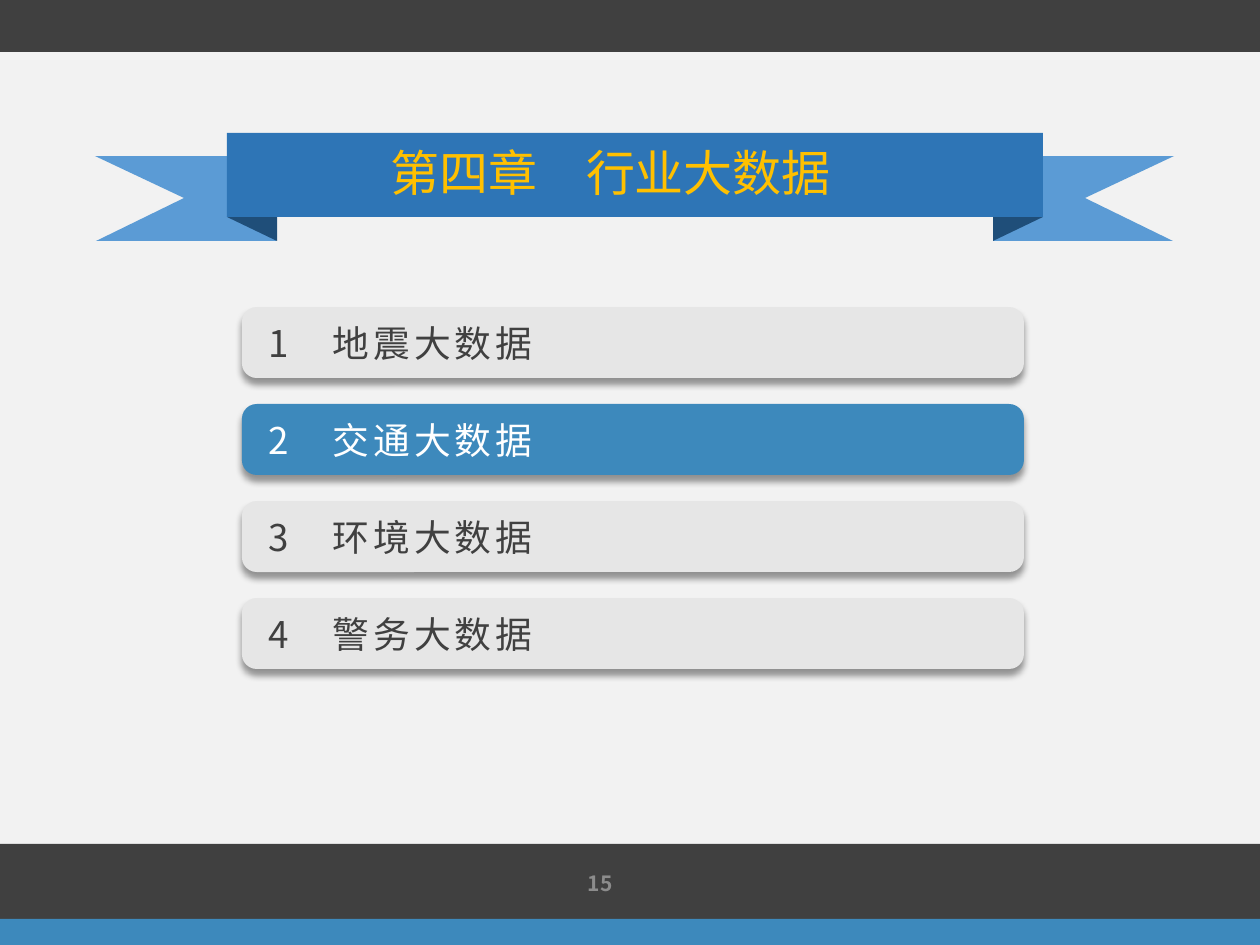
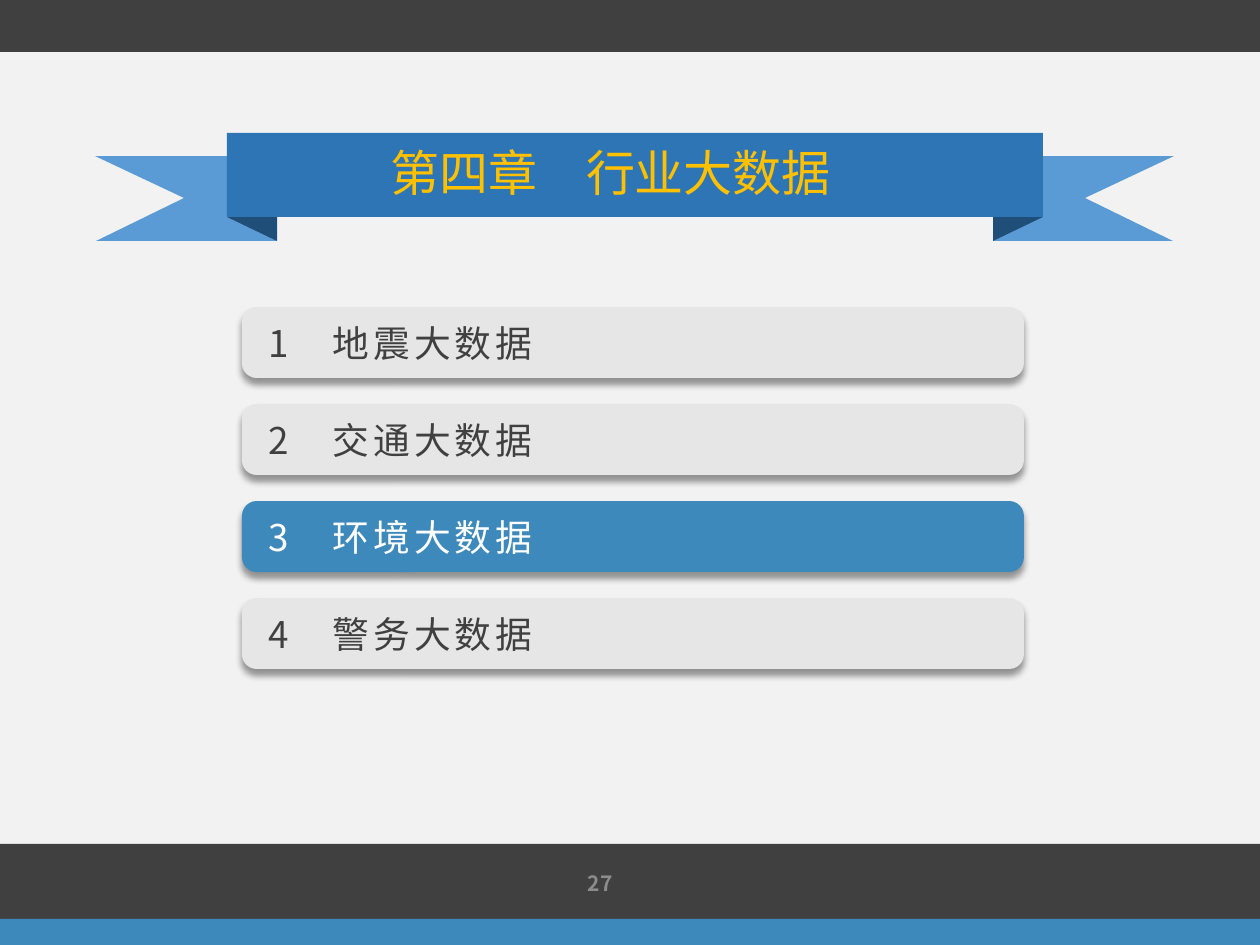
from dataclasses import dataclass

from lxml.etree import SubElement
from pptx import Presentation
from pptx.dml.color import RGBColor
from pptx.enum.shapes import MSO_SHAPE
from pptx.enum.text import MSO_ANCHOR, MSO_AUTO_SIZE, PP_ALIGN
from pptx.oxml.ns import qn
from pptx.util import Inches, Pt


@dataclass(frozen=True)
class Theme:
    font: str = "Noto Sans CJK SC"
    background: RGBColor = RGBColor(0xF2, 0xF2, 0xF2)
    dark: RGBColor = RGBColor(0x40, 0x40, 0x40)
    accent: RGBColor = RGBColor(0x3D, 0x89, 0xBC)
    bar: RGBColor = RGBColor(0xE6, 0xE6, 0xE6)
    white: RGBColor = RGBColor(0xFF, 0xFF, 0xFF)
    ribbon: RGBColor = RGBColor(0x2E, 0x75, 0xB6)
    ribbon_tail: RGBColor = RGBColor(0x5B, 0x9B, 0xD5)
    ribbon_fold: RGBColor = RGBColor(0x1F, 0x4E, 0x79)
    title: RGBColor = RGBColor(0xFF, 0xC0, 0x00)
    number: RGBColor = RGBColor(0x8C, 0x8C, 0x8C)
    title_size: int = Pt(28)
    bar_size: int = Pt(21)
    number_size: int = Pt(12)


THEME = Theme()
WIDTH, HEIGHT = 1260, 945
SCALE = Inches(10) / WIDTH

CHAPTER = "第四章　行业大数据"
SECTIONS = ["地震大数据", "交通大数据", "环境大数据", "警务大数据"]
SLIDES = [{"current": 2, "number": "15"}, {"current": 3, "number": "27"}]

BANDS = [
    ((-1, -1, 1262, 53), THEME.dark),
    ((0, 844, WIDTH, 76), THEME.dark),
    ((0, 919, WIDTH, 26), THEME.accent),
]
RIBBON = (227, 133, 816, 84)
RIBBON_MIRROR = 1269
TAIL_POINTS = [(95, 156), (276, 156), (276, 241), (96, 241), (184, 198)]
FOLDS = [((227, 217, 50, 24), 180), ((1006, 204, 24, 50), 90)]
TITLE_BOX = (375, 136, 471, 72)
NUMBER_BOX = (331, 858, 294, 50)
BAR_LEFT, BAR_TOP, BAR_WIDTH, BAR_HEIGHT, BAR_PITCH = 242, 307, 782, 71, 97
BAR_INSET = 22


def add_filled(slide, kind, box, colour):
    shape = slide.shapes.add_shape(kind, *[round(length * SCALE) for length in box])
    shape.shadow.inherit = False
    shape.fill.solid()
    shape.fill.fore_color.rgb = colour
    shape.line.fill.background()
    return shape


def write_text(shape, text, alignment, colour, frame_format, font_format):
    frame = shape.text_frame
    for name, value in frame_format.items():
        setattr(frame, name, value)
    paragraph = frame.paragraphs[0]
    paragraph.alignment = alignment
    run = paragraph.add_run()
    run.text = text
    run.font.name = THEME.font
    run.font.color.rgb = colour
    for name, value in font_format.items():
        setattr(run.font, name, value)
    properties = shape.element.find(".//" + qn("a:rPr"))
    SubElement(properties, qn("a:ea"), typeface=THEME.font)
    return properties


presentation = Presentation()
presentation.slide_width = round(WIDTH * SCALE)
presentation.slide_height = round(HEIGHT * SCALE)
master_fill = presentation.slide_master.background.fill
master_fill.solid()
master_fill.fore_color.rgb = THEME.background
title_only = presentation.slide_layouts.get_by_name("Title Only")

for content in SLIDES:
    slide = presentation.slides.add_slide(title_only)

    for box, colour in BANDS:
        add_filled(slide, MSO_SHAPE.RECTANGLE, box, colour)

    for index, section in enumerate(SECTIONS):
        is_current = index + 1 == content["current"]
        box = (BAR_LEFT, BAR_TOP + index * BAR_PITCH, BAR_WIDTH, BAR_HEIGHT)
        fill_colour = THEME.accent if is_current else THEME.bar
        bar = add_filled(slide, MSO_SHAPE.ROUNDED_RECTANGLE, box, fill_colour)
        bar.adjustments[0] = 0.207
        effects = bar.element.find(".//" + qn("a:effectLst"))
        shadow = SubElement(
            effects, qn("a:outerShdw"), blurRad=str(Pt(4)), dist=str(Pt(3)),
            dir="5400000", algn="t", rotWithShape="0",
        )
        shadow_colour = SubElement(shadow, qn("a:srgbClr"), val="000000")
        SubElement(shadow_colour, qn("a:alpha"), val="40000")
        properties = write_text(
            bar, f"{index + 1}　{section}", PP_ALIGN.LEFT,
            THEME.white if is_current else THEME.dark,
            {"vertical_anchor": MSO_ANCHOR.MIDDLE, "margin_left": round(BAR_INSET * SCALE)},
            {"size": THEME.bar_size},
        )
        properties.set("spc", "220")

    mirrored_points = [(RIBBON_MIRROR - x, y) for x, y in TAIL_POINTS]
    for points in (TAIL_POINTS, mirrored_points):
        builder = slide.shapes.build_freeform(*points[0], scale=SCALE)
        builder.add_line_segments(points[1:], close=True)
        tail = builder.convert_to_shape()
        tail.shadow.inherit = False
        tail.fill.solid()
        tail.fill.fore_color.rgb = THEME.ribbon_tail
        tail.line.fill.background()

    for box, rotation in FOLDS:
        fold = add_filled(slide, MSO_SHAPE.RIGHT_TRIANGLE, box, THEME.ribbon_fold)
        fold.rotation = rotation

    add_filled(slide, MSO_SHAPE.RECTANGLE, RIBBON, THEME.ribbon)

    title = slide.shapes.title
    for name, length in zip(("left", "top", "width", "height"), TITLE_BOX):
        setattr(title, name, round(length * SCALE))
    write_text(
        title, CHAPTER, PP_ALIGN.CENTER, THEME.title,
        {
            "vertical_anchor": MSO_ANCHOR.TOP,
            "word_wrap": False,
            "auto_size": MSO_AUTO_SIZE.NONE,
        },
        {"size": THEME.title_size},
    )
    title.element.getparent().append(title.element)

    number = slide.shapes.add_textbox(*[round(length * SCALE) for length in NUMBER_BOX])
    write_text(
        number, content["number"], PP_ALIGN.RIGHT, THEME.number,
        {"vertical_anchor": MSO_ANCHOR.MIDDLE, "word_wrap": True},
        {"size": THEME.number_size, "bold": True},
    )

presentation.save("out.pptx")
